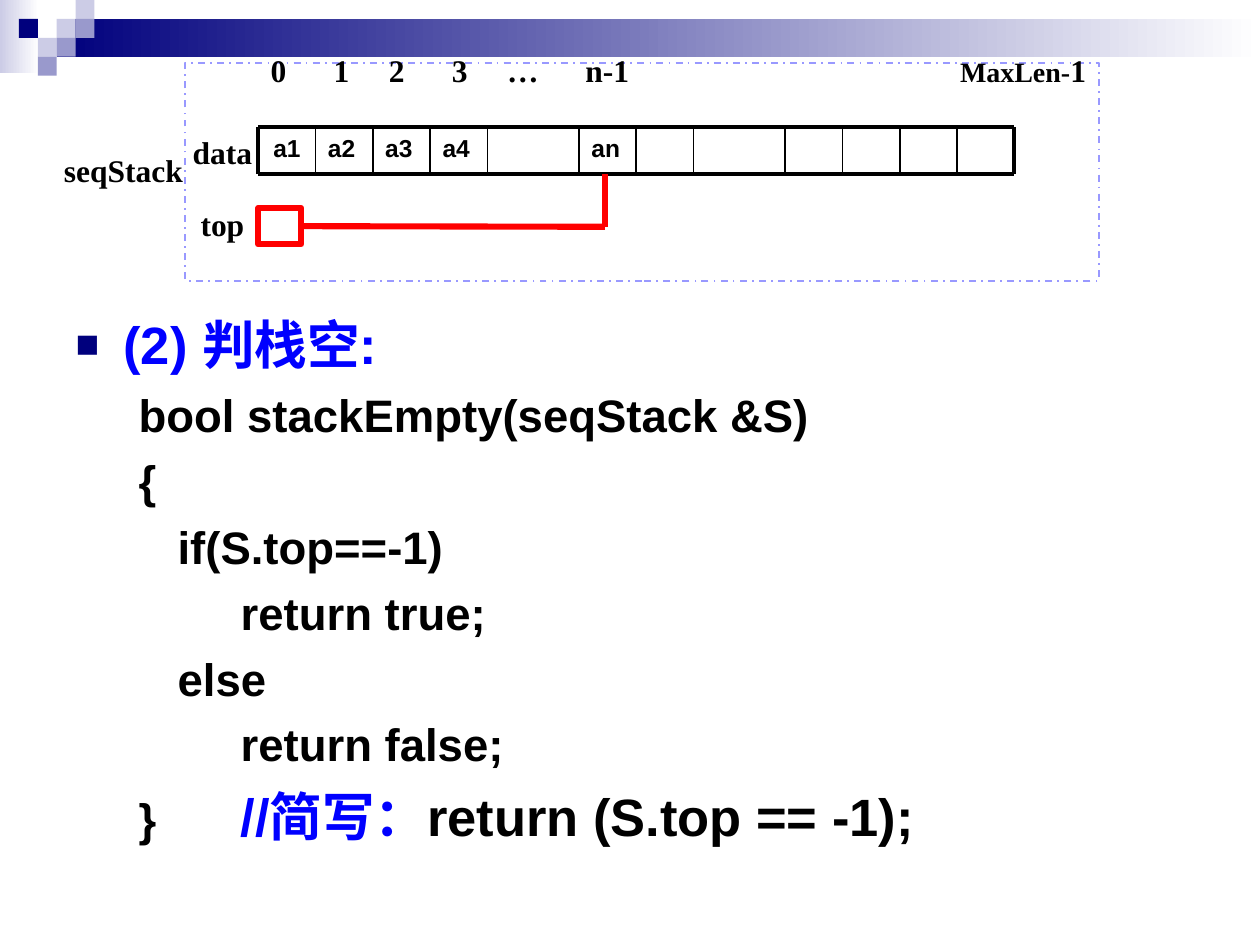
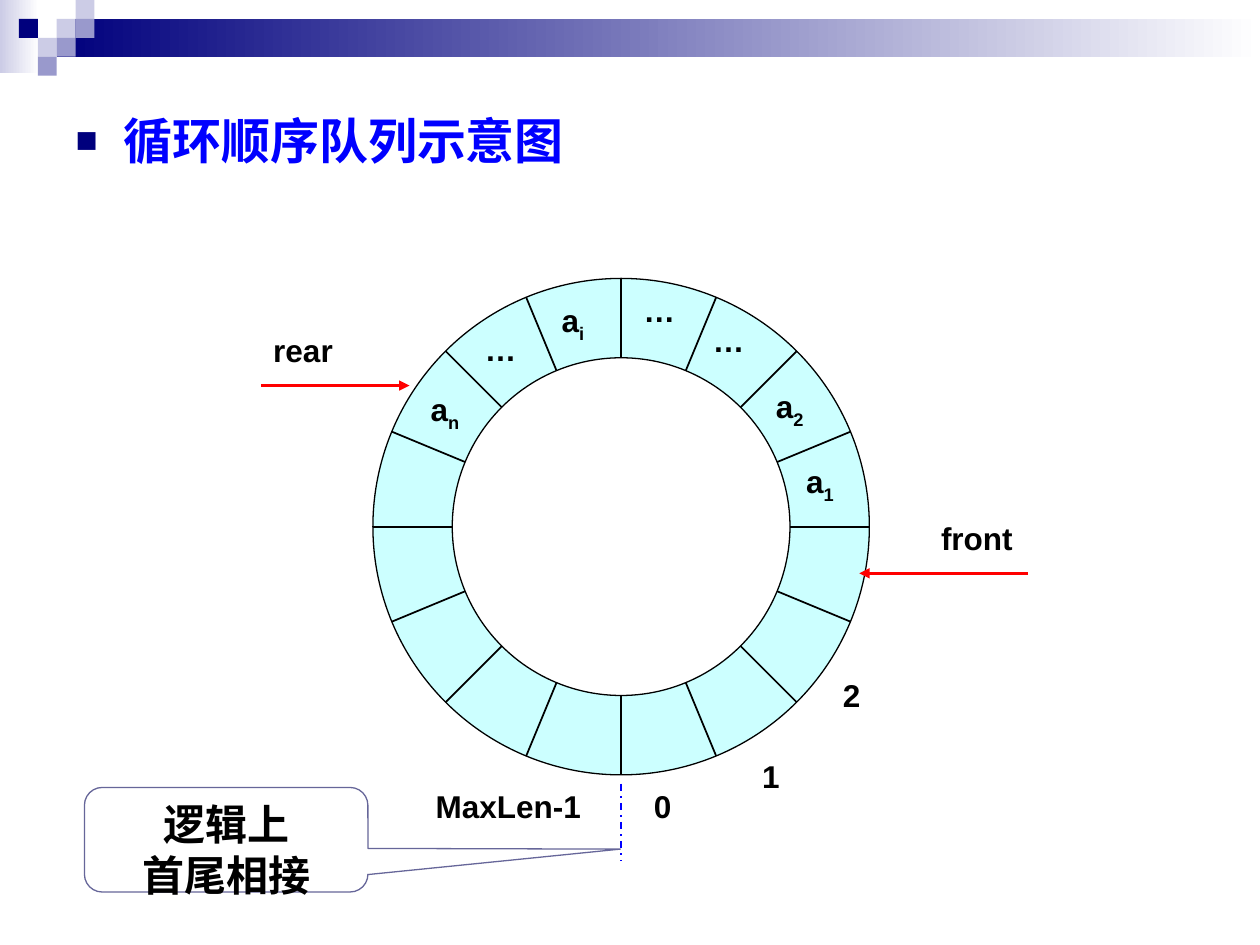
from dataclasses import dataclass
from itertools import accumulate
from math import cos, pi, sin

from lxml import etree
from pptx import Presentation
from pptx.dml.color import RGBColor
from pptx.enum.dml import MSO_LINE
from pptx.enum.shapes import MSO_CONNECTOR, MSO_SHAPE
from pptx.enum.text import MSO_ANCHOR, MSO_AUTO_SIZE, PP_ALIGN
from pptx.oxml.ns import qn
from pptx.util import Inches, Pt

RECT, DONUT = MSO_SHAPE.RECTANGLE, MSO_SHAPE.DONUT
BUBBLE = MSO_SHAPE.ROUNDED_RECTANGULAR_CALLOUT
STRAIGHT, DASH = MSO_CONNECTOR.STRAIGHT, MSO_LINE.DASH_DOT
LEFT, MID, TOP = PP_ALIGN.LEFT, PP_ALIGN.CENTER, MSO_ANCHOR.TOP
FIXED = MSO_AUTO_SIZE.NONE


@dataclass(frozen=True)
class Theme:
    navy: str = "00007D"
    pale: str = "CCCCE6"
    lilac: str = "9999CC"
    frame: str = "9999FF"
    slate: str = "666699"
    aqua: str = "CCFFFF"
    blue: str = "0000FF"
    red: str = "FF0000"
    black: str = "000000"
    white: str = "FFFFFF"
    sans: str = "Arial"
    serif: str = "Times New Roman"
    head: int = 30
    topic: int = 28
    code: int = 26
    note: int = 24
    label: int = 18
    small: int = 16
    cell: int = 14


T = Theme()
WIDE, HIGH = 10, 7.5
TILE = 0.15
TILES = [(3, 1, T.pale), (4, 0, T.pale), (4, 1, T.lilac), (2, 2, T.pale),
         (1, 1, T.navy), (3, 2, T.lilac), (2, 3, T.lilac)]

STACK_HEAD = "(2) 判栈空:"
STACK_CODE = [
    ["bool stackEmpty(seqStack &S)"],
    ["{"],
    ["\tif(S.top==-1)"],
    ["\t\treturn true;"],
    ["\telse"],
    ["\t\treturn false;"],
    ["}\t\t", ("//简写：", {"color": T.blue, "size": T.head}),
     ("return (S.top == -1);", {"size": T.head})],
]
CELLS = [(5, "a1"), (5, "a2"), (5, "a3"), (5, "a4"), (8, ""), (5, "an"),
         (5, ""), (8, ""), (5, ""), (5, ""), (5, ""), (5, "")]
ARRAY = (2.05, 1.01, 6, 0.37)
MARKS = [(2.21, ["0"]), (2.71, ["1"]), (3.15, ["2"]), (3.65, ["3"]),
         (4.15, ["…"]), (4.82, ["n-1"]),
         (8.12, [("MaxLen-", {"size": T.small}), "1"])]
FIELDS = [("data", 1.39, 1.01, 0.75), ("top", 1.39, 1.58, 0.75),
          ("seqStack", 0.33, 1.15, 1.3)]

RING_HEAD = "循环顺序队列示意图"
HUB = (4.93, 4.18)
OUTER, INNER, SLOTS = 1.97, 1.34, 16
ITEMS = [("a", "1", 6.3, 3.62), ("a", "2", 6.06, 3.02), ("a", "i", 4.36, 2.34),
         ("…", "", 5.01, 2.26), ("a", "n", 3.32, 3.05), ("…", "", 3.75, 2.57),
         ("…", "", 5.56, 2.5)]
TAGS = [("front", 7.37, 4.07, 0.79), ("rear", 2.07, 2.58, 0.79),
        ("0", 5.09, 6.2, 0.39), ("1", 5.95, 5.96, 0.39), ("2", 6.59, 5.32, 0.39)]
ARROWS = [((8.16, 4.55), (6.82, 4.55)), ((2.07, 3.06), (3.25, 3.06))]
NOTE = ["逻辑上", "首尾相接"]


def rgb(code):
    return RGBColor.from_string(code)


def inches(box):
    return [Inches(v) for v in box]


def write(para, runs, size=T.label, color=T.black, font=T.sans, align=LEFT,
          before=0, base=0):
    para.alignment = align
    para.space_before = Pt(before)
    for part in runs:
        words, extra = part if isinstance(part, tuple) else (part, {})
        run = para.add_run()
        run.text = words
        run.font.name = font
        run.font.bold = True
        run.font.size = Pt(extra.get("size", size))
        run.font.color.rgb = rgb(extra.get("color", color))
        drop = extra.get("base", base)
        if drop:
            run.font._element.set("baseline", str(drop * 1000))


def label(slide, box, runs, **form):
    frame = slide.shapes.add_textbox(*inches(box)).text_frame
    frame.word_wrap = True
    write(frame.paragraphs[0], runs, **form)


def shape(slide, kind, box, fill=None, line=None, width=1, dash=None):
    item = slide.shapes.add_shape(kind, *inches(box))
    item.shadow.inherit = False
    if isinstance(fill, tuple):
        item.fill.gradient()
        item.fill.gradient_angle = 0
        for stop, color in zip(item.fill.gradient_stops, fill):
            stop.color.rgb = rgb(color)
    elif fill:
        item.fill.solid()
        item.fill.fore_color.rgb = rgb(fill)
    else:
        item.fill.background()
    if line:
        item.line.color.rgb = rgb(line)
        item.line.width = Pt(width)
        item.line.dash_style = dash
    else:
        item.line.fill.background()
    return item


def stroke(slide, start, end, color=T.black, width=1, dash=None, arrow=False):
    item = slide.shapes.add_connector(STRAIGHT, *inches(start + end))
    item.line.color.rgb = rgb(color)
    item.line.width = Pt(width)
    item.line.dash_style = dash
    if arrow:
        tip = etree.SubElement(item.line._get_or_add_ln(), qn("a:tailEnd"))
        tip.set("type", "triangle")
    etree.SubElement(item._element.spPr, qn("a:effectLst"))
    return item


def indent(para, left, first, stops=(), bullet=False):
    props = para._p.get_or_add_pPr()
    props.set("marL", str(Inches(left)))
    props.set("indent", str(Inches(first)))
    if bullet:
        tint = etree.SubElement(props, qn("a:buClr"))
        etree.SubElement(tint, qn("a:srgbClr")).set("val", T.navy)
        etree.SubElement(props, qn("a:buSzPct")).set("val", "75000")
        etree.SubElement(props, qn("a:buFont")).set("typeface", T.sans)
        etree.SubElement(props, qn("a:buChar")).set("char", "■")
    else:
        etree.SubElement(props, qn("a:buNone"))
    if stops:
        tabs = etree.SubElement(props, qn("a:tabLst"))
        for stop in stops:
            tab = etree.SubElement(tabs, qn("a:tab"))
            tab.set("pos", str(Inches(stop)))
            tab.set("algn", "l")


def start(deck, head, size, top):
    slide = deck.slides.add_slide(deck.slide_layouts[1])
    title = slide.shapes.title
    title._element.getparent().remove(title._element)
    shape(slide, RECT, (0, 0, 0.31, 0.58), (T.pale, T.white))
    shape(slide, RECT, (3 * TILE, TILE, WIDE - 3 * TILE, 2 * TILE), (T.navy, T.white))
    for col, row, color in TILES:
        shape(slide, RECT, (col * TILE, row * TILE, TILE, TILE), color)
    body = slide.placeholders[1]
    body.left, body.top, body.width, body.height = inches((0.5, top, 9, 6.75 - top))
    frame = body.text_frame
    frame.auto_size = FIXED
    frame.vertical_anchor = TOP
    indent(frame.paragraphs[0], 0.38, -0.38, bullet=True)
    write(frame.paragraphs[0], [head], size=size, color=T.blue)
    return slide, frame


def stack(deck):
    slide, frame = start(deck, STACK_HEAD, T.head, 2.43)
    for runs in STACK_CODE:
        para = frame.add_paragraph()
        para.level = 1
        short = len(runs) > 1
        indent(para, 0.81, -0.31, (0, 0.44) if short else (0, 1, 2))
        write(para, runs, size=T.code, before=7.5 if short else 6.5)

    shape(slide, RECT, (1.47, 0.5, 7.25, 1.73), T.white, T.frame, dash=DASH)
    left, top, wide, high = ARRAY
    unit = wide / sum(span for span, _ in CELLS)
    edges = [left + unit * n for n in accumulate((s for s, _ in CELLS), initial=0)]
    for x, (span, words) in zip(edges, CELLS):
        if words:
            label(slide, (x, top, span * unit, high), [words], size=T.cell,
                  align=MID if x == left else LEFT)
    for y in (top, top + high):
        stroke(slide, (left, y), (left + wide, y), width=2.25)
    for x in edges:
        rim = x in (edges[0], edges[-1])
        stroke(slide, (x, top), (x, top + high), width=2.25 if rim else 1)
    for x, runs in MARKS:
        span = 1.4 if len(runs) > 1 else 0.8
        label(slide, (x - span / 2, 0.36, span, 0.4), runs, font=T.serif, align=MID)
    for words, x, y, span in FIELDS:
        label(slide, (x, y, span, 0.4), [words], font=T.serif, align=MID)

    slot = shape(slide, RECT, (left, 1.65, 0.34, 0.29), T.white, T.red, 3.5)
    link = stroke(slide, (2.39, 1.8), (4.8, 1.8), T.red, 3.5)
    link.begin_connect(slot, 3)
    stroke(slide, (4.8, top + high), (4.8, 1.8), T.red, 3.5)


def ring(deck):
    slide, _ = start(deck, RING_HEAD, T.topic, 0.83)
    x, y = HUB
    donut = shape(slide, DONUT, (x - OUTER, y - OUTER, 2 * OUTER, 2 * OUTER),
                  T.aqua, T.black, 0.75)
    donut.adjustments[0] = (OUTER - INNER) / (2 * OUTER)
    for n in range(SLOTS):
        turn = 2 * pi * n / SLOTS
        near, far = ((x + r * cos(turn), y + r * sin(turn)) for r in (INNER, OUTER))
        stroke(slide, near, far)
    for word, sub, left, top in ITEMS:
        runs = [word, (sub, {"base": -25})] if sub else [word]
        label(slide, (left, top, 0.47, 0.44), runs)
    for word, left, top, span in TAGS:
        label(slide, (left, top, span, 0.4), [word])
    label(slide, (3.25, 6.2, 1.57, 0.4), ["MaxLen-1"], align=MID)
    for tail, tip in ARROWS:
        stroke(slide, tail, tip, T.red, 1.5, arrow=True)
    stroke(slide, (x, 6.22), (x, 6.83), T.blue, dash=DASH)

    bubble = shape(slide, BUBBLE, (0.67, 6.25, 2.25, 0.83), line=T.slate, width=0.75)
    for n, value in enumerate((1.39, 0.09, 0.17)):
        bubble.adjustments[n] = value
    frame = bubble.text_frame
    frame.word_wrap = True
    frame.vertical_anchor = TOP
    for n, words in enumerate(NOTE):
        para = frame.add_paragraph() if n else frame.paragraphs[0]
        write(para, [words], size=T.note, font=T.serif, align=MID)


def main():
    deck = Presentation()
    deck.slide_width, deck.slide_height = Inches(WIDE), Inches(HIGH)
    stack(deck)
    ring(deck)
    deck.save("out.pptx")


if __name__ == "__main__":
    main()
